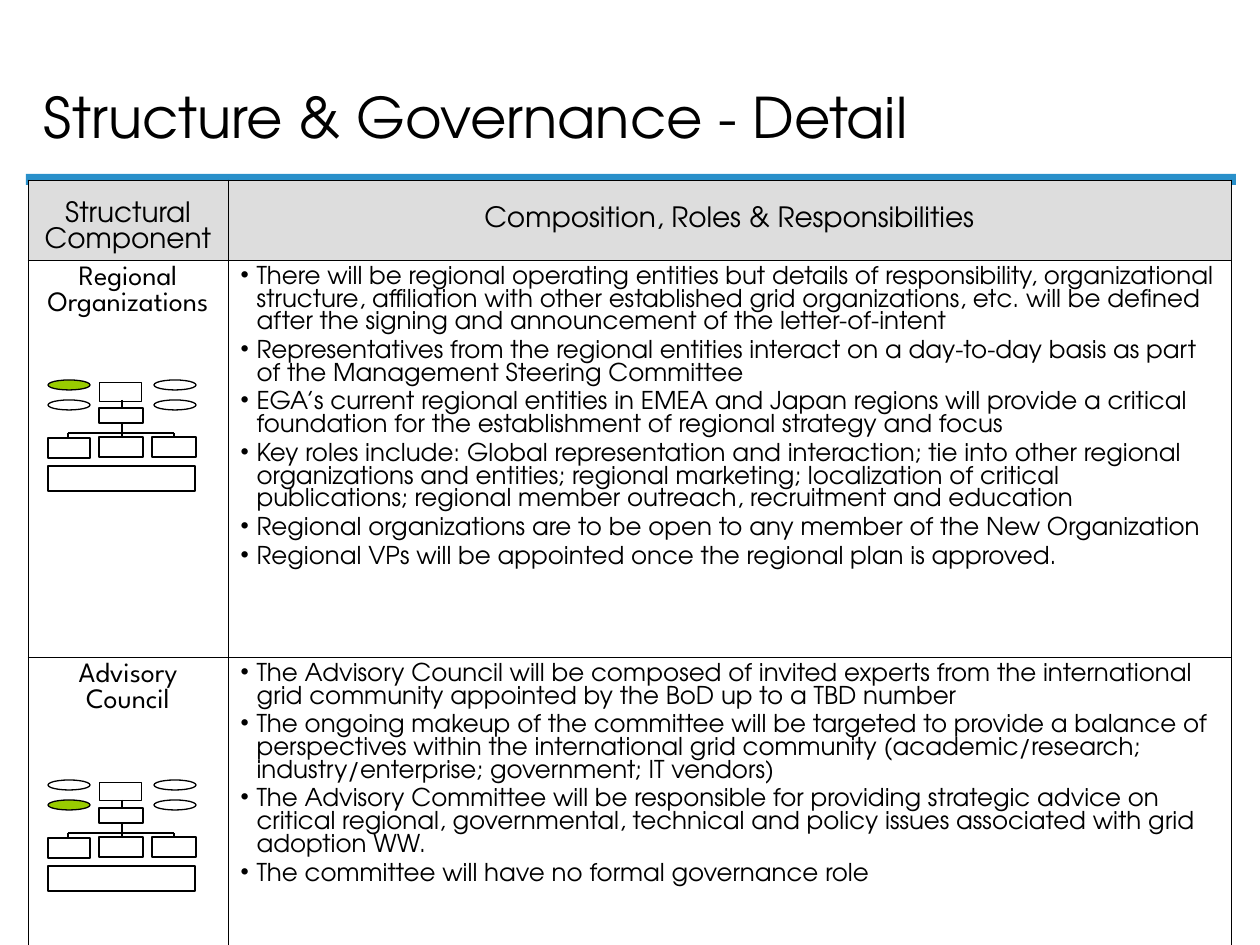
from pptx import Presentation
from pptx.dml.color import RGBColor
from pptx.enum.shapes import MSO_CONNECTOR, MSO_SHAPE
from pptx.enum.text import MSO_ANCHOR, MSO_AUTO_SIZE, PP_ALIGN
from pptx.oxml import parse_xml
from pptx.oxml.ns import nsdecls
from pptx.util import Emu, Pt

COLORS = {"black": "000000", "white": "FFFFFF", "rule": "2990CA",
          "header": "DDDDDD", "highlight": "99CC00"}
BODY_FONT, COMPONENT_FONT = "TeX Gyre Adventor", "League Spartan"
BLACK = RGBColor.from_string(COLORS["black"])


def px(*lengths):
    return [Emu(round(length * 914400 / 126)) for length in lengths]


def format_paragraph(paragraph, size, font, align, after=0):
    paragraph.alignment = align
    paragraph.space_after = Pt(after)
    for run in paragraph.runs:
        run.font.size = Pt(size)
        run.font.name = font
        run.font.bold = False
        run.font.color.rgb = BLACK


presentation = Presentation()
presentation.slide_width, presentation.slide_height = px(1260, 945)
slide = presentation.slides.add_slide(presentation.slide_layouts[5])

# Blue rule under the title
rule = slide.shapes.add_shape(MSO_SHAPE.RECTANGLE, *px(26, 174, 1210, 11))
rule.shadow.inherit = False
rule.fill.solid()
rule.fill.fore_color.rgb = RGBColor.from_string(COLORS["rule"])
rule.line.fill.background()

# Title
title = slide.shapes.title
title.left, title.top, title.width, title.height = px(31, 15, 1079, 141)
title.text_frame.text = "Structure & Governance - Detail"
title.text_frame.auto_size = MSO_AUTO_SIZE.NONE
title.text_frame.vertical_anchor = MSO_ANCHOR.BOTTOM
format_paragraph(title.text_frame.paragraphs[0], 32, BODY_FONT, PP_ALIGN.LEFT)

# Governance table
headings = ["Structural Component", "Composition, Roles & Responsibilities"]
components = {
    "Regional Organizations": [
        "There will be regional operating entities but details of responsibility, "
        "organizational structure, affiliation with other established grid organizations, "
        "etc. will be defined after the signing and announcement of the letter-of-intent",
        "Representatives from the regional entities interact on a day-to-day basis as part "
        "of the Management Steering Committee",
        "EGA’s current regional entities in EMEA and Japan regions will provide a critical "
        "foundation for the establishment of regional strategy and focus",
        "Key roles include: Global representation and interaction; tie into other regional "
        "organizations and entities; regional marketing; localization of critical "
        "publications; regional member outreach, recruitment and education",
        "Regional organizations are to be open to any member of the New Organization",
        "Regional VPs will be appointed once the regional plan is approved.",
    ],
    "Advisory Council": [
        "The Advisory Council will be composed of invited experts from the international "
        "grid community appointed by the BoD up to a TBD number",
        "The ongoing makeup of the committee will be targeted to provide a balance of "
        "perspectives within the international grid community (academic/research; "
        "industry/enterprise; government; IT vendors)",
        "The Advisory Committee will be responsible for providing strategic advice on "
        "critical regional, governmental, technical and policy issues associated with grid "
        "adoption WW.",
        "The committee will have no formal governance role",
    ],
}
table = slide.shapes.add_table(3, 2, *px(28, 180, 1203, 773)).table
table.first_row = table.horz_banding = False
for column, width in zip(table.columns, px(200, 1003)):
    column.width = width
for row, height in zip(table.rows, px(80, 397, 296)):
    row.height = height

# Cell borders and fills
for cell in table.iter_cells():
    properties = cell._tc.get_or_add_tcPr()
    for side in ("lnL", "lnR", "lnT", "lnB"):
        properties.append(parse_xml(
            f'<a:{side} {nsdecls("a")} w="{Pt(0.45)}"><a:solidFill>'
            f'<a:srgbClr val="{COLORS["black"]}"/></a:solidFill></a:{side}>'))
    cell.fill.background()

# Header row
anchors = [MSO_ANCHOR.BOTTOM, MSO_ANCHOR.MIDDLE]
for cell, heading, anchor in zip(table.rows[0].cells, headings, anchors):
    cell.fill.solid()
    cell.fill.fore_color.rgb = RGBColor.from_string(COLORS["header"])
    cell.vertical_anchor = anchor
    cell.text_frame.text = heading
    format_paragraph(cell.text_frame.paragraphs[0], 16, BODY_FONT, PP_ALIGN.CENTER, 4)

# Component rows
indent = px(16)[0]
for row_number, (component, duties) in enumerate(components.items(), start=1):
    name_frame = table.cell(row_number, 0).text_frame
    name_frame.text = component
    format_paragraph(name_frame.paragraphs[0], 16, COMPONENT_FONT, PP_ALIGN.CENTER, 4)
    duties_frame = table.cell(row_number, 1).text_frame
    duties_frame.text = "\n".join(duties)
    for paragraph in duties_frame.paragraphs:
        bullet = paragraph._p.get_or_add_pPr()
        bullet.set("marL", str(indent))
        bullet.set("indent", str(-indent))
        bullet.append(parse_xml(f'<a:buClr {nsdecls("a")}><a:srgbClr '
                                f'val="{COLORS["black"]}"/></a:buClr>'))
        bullet.append(parse_xml(f'<a:buChar {nsdecls("a")} char="•"/>'))
        format_paragraph(paragraph, 14, BODY_FONT, PP_ALIGN.LEFT, 3.5)

# Small organization charts: offsets from the top of each chart
branches = [(122, 20, 122, 58), (68, 58, 68, 53), (68, 53, 174, 53), (174, 53, 174, 58)]
boxes = [  # left, top, width, height, line width, fill
    (48, 58, 42, 20, 0.75, None),
    (99, 2, 42, 19, 0.5, None),
    (99, 28, 44, 15, 0.75, "white"),
    (99, 57, 44, 20, 0.75, None),
    (152, 57, 44, 20, 0.75, None),
    (48, 86, 147, 25, 0.75, None),
]
advisers = [(48, 0), (48, 20), (154, 20), (154, 0)]
for chart_top, highlighted in [(380, 0), (780, 1)]:
    org_chart = slide.shapes.add_group_shape().shapes
    for x1, y1, x2, y2 in branches:
        branch = org_chart.add_connector(
            MSO_CONNECTOR.STRAIGHT, *px(x1, chart_top + y1, x2, chart_top + y2))
        branch.line.color.rgb = BLACK
        branch.line.width = Pt(0.75)
        branch._element.spPr.append(parse_xml(f'<a:effectLst {nsdecls("a")}/>'))
    nodes = [(MSO_SHAPE.RECTANGLE, *box) for box in boxes]
    for number, (left, top) in enumerate(advisers):
        fill = "highlight" if number == highlighted else None
        nodes.append((MSO_SHAPE.OVAL, left, top, 42, 10, 0.75, fill))
    for kind, left, top, width, height, line_width, fill in nodes:
        node = org_chart.add_shape(kind, *px(left, chart_top + top, width, height))
        node.shadow.inherit = False
        node.line.color.rgb = BLACK
        node.line.width = Pt(line_width)
        if fill:
            node.fill.solid()
            node.fill.fore_color.rgb = RGBColor.from_string(COLORS[fill])
        else:
            node.fill.background()

presentation.save("out.pptx")
